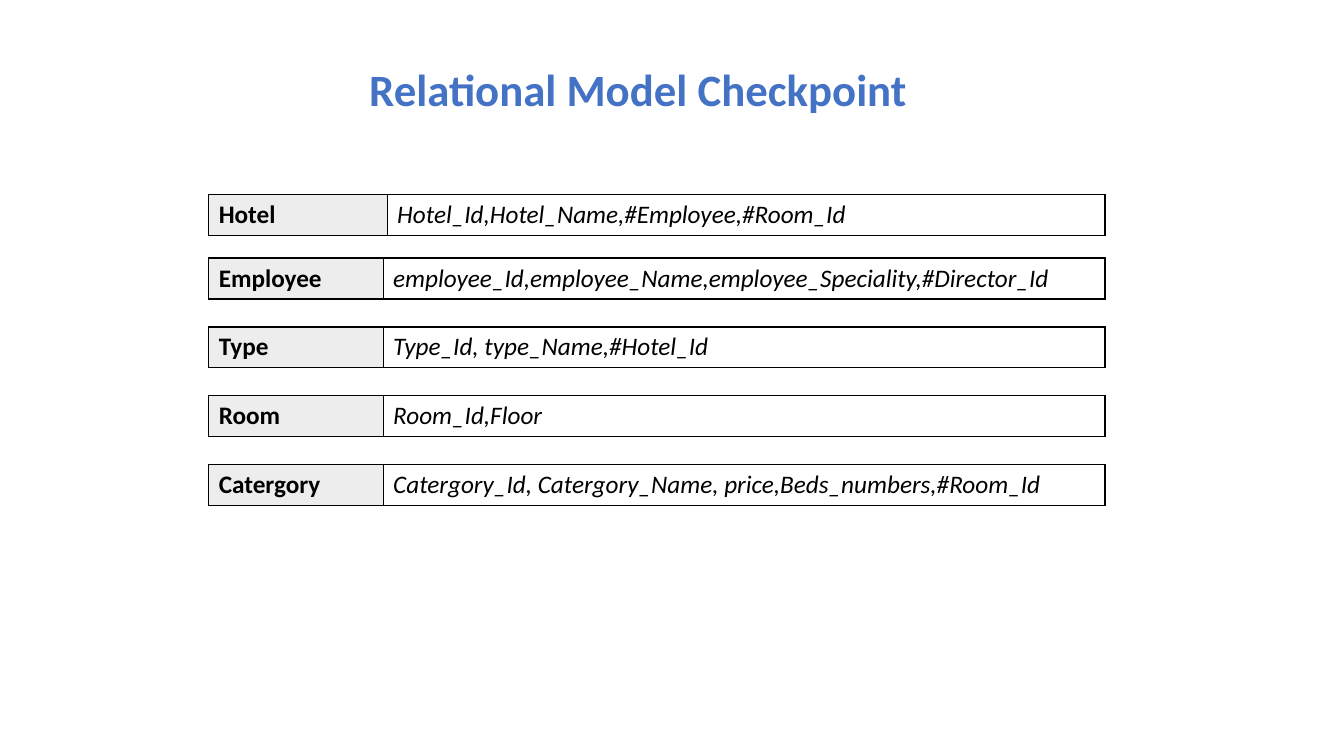
from dataclasses import dataclass

from lxml.etree import SubElement
from pptx import Presentation
from pptx.dml.color import RGBColor
from pptx.enum.text import MSO_ANCHOR, PP_ALIGN
from pptx.oxml.ns import qn
from pptx.util import Inches, Pt

TITLE = "Relational Model Checkpoint"
# relation, attributes, width of the name column
RELATIONS = [
    ("Hotel", "Hotel_Id,Hotel_Name,#Employee,#Room_Id", 1.77),
    ("Employee", "employee_Id,employee_Name,employee_Speciality,#Director_Id", 1.73),
    ("Type", "Type_Id, type_Name,#Hotel_Id", 1.73),
    ("Room", "Room_Id,Floor", 1.73),
    ("Catergory", "Catergory_Id, Catergory_Name, price,Beds_numbers,#Room_Id", 1.73),
]


@dataclass(frozen=True)
class Theme:
    font: str = "Calibri"
    title_size: int = 32
    body_size: int = 18
    accent: str = "4472C4"
    ink: str = "000000"
    name_fill: str = "EDEDED"
    border: int = 1


THEME = Theme()
SLIDE_W, SLIDE_H = 13.33, 7.5
TITLE_BOX = (1.33, 0.36, 10, 0.84)
LEFT, WIDTH, ROW_H = 2.07, 8.89, 0.4
FIRST_TOP, SECOND_TOP, LAST_TOP = 1.93, 2.56, 4.61


def write(frame, text, size=THEME.body_size, color=THEME.ink, bold=False,
          italic=False, align=PP_ALIGN.LEFT, spacing=1.0):
    paragraph = frame.paragraphs[0]
    paragraph.alignment = align
    paragraph.line_spacing = spacing
    run = paragraph.add_run()
    run.text = text
    run.font.name = THEME.font
    run.font.size = Pt(size)
    run.font.bold = bold
    run.font.italic = italic
    run.font.color.rgb = RGBColor.from_string(color)


def outline(cell):
    properties = cell._tc.get_or_add_tcPr()
    for side in ("a:lnL", "a:lnR", "a:lnT", "a:lnB"):
        edge = SubElement(properties, qn(side), w=str(Pt(THEME.border)))
        fill = SubElement(edge, qn("a:solidFill"))
        SubElement(fill, qn("a:srgbClr"), val=THEME.ink)


def add_relation(slide, top, name, attributes, name_width):
    table = slide.shapes.add_table(
        1, 2, Inches(LEFT), Inches(top), Inches(WIDTH), Inches(ROW_H)).table
    table.first_row = table.horz_banding = False
    table.columns[0].width = Inches(name_width)
    table.columns[1].width = Inches(WIDTH - name_width)
    name_cell, attribute_cell = table.cell(0, 0), table.cell(0, 1)
    for cell in (name_cell, attribute_cell):
        outline(cell)
    name_cell.fill.solid()
    name_cell.fill.fore_color.rgb = RGBColor.from_string(THEME.name_fill)
    attribute_cell.fill.background()
    write(name_cell.text_frame, name, bold=True)
    write(attribute_cell.text_frame, attributes, italic=True)


def main():
    deck = Presentation()
    deck.slide_width, deck.slide_height = Inches(SLIDE_W), Inches(SLIDE_H)
    slide = deck.slides.add_slide(deck.slide_layouts[5])

    heading = slide.shapes.title
    heading.left, heading.top, heading.width, heading.height = map(Inches, TITLE_BOX)
    heading.text_frame.vertical_anchor = MSO_ANCHOR.BOTTOM
    write(heading.text_frame, TITLE, size=THEME.title_size, color=THEME.accent,
          bold=True, align=PP_ALIGN.CENTER, spacing=0.9)

    pitch = (LAST_TOP - SECOND_TOP) / (len(RELATIONS) - 2)
    tops = [FIRST_TOP] + [SECOND_TOP + i * pitch for i in range(len(RELATIONS) - 1)]
    for top, relation in zip(tops, RELATIONS):
        add_relation(slide, top, *relation)

    deck.save("out.pptx")


if __name__ == "__main__":
    main()
